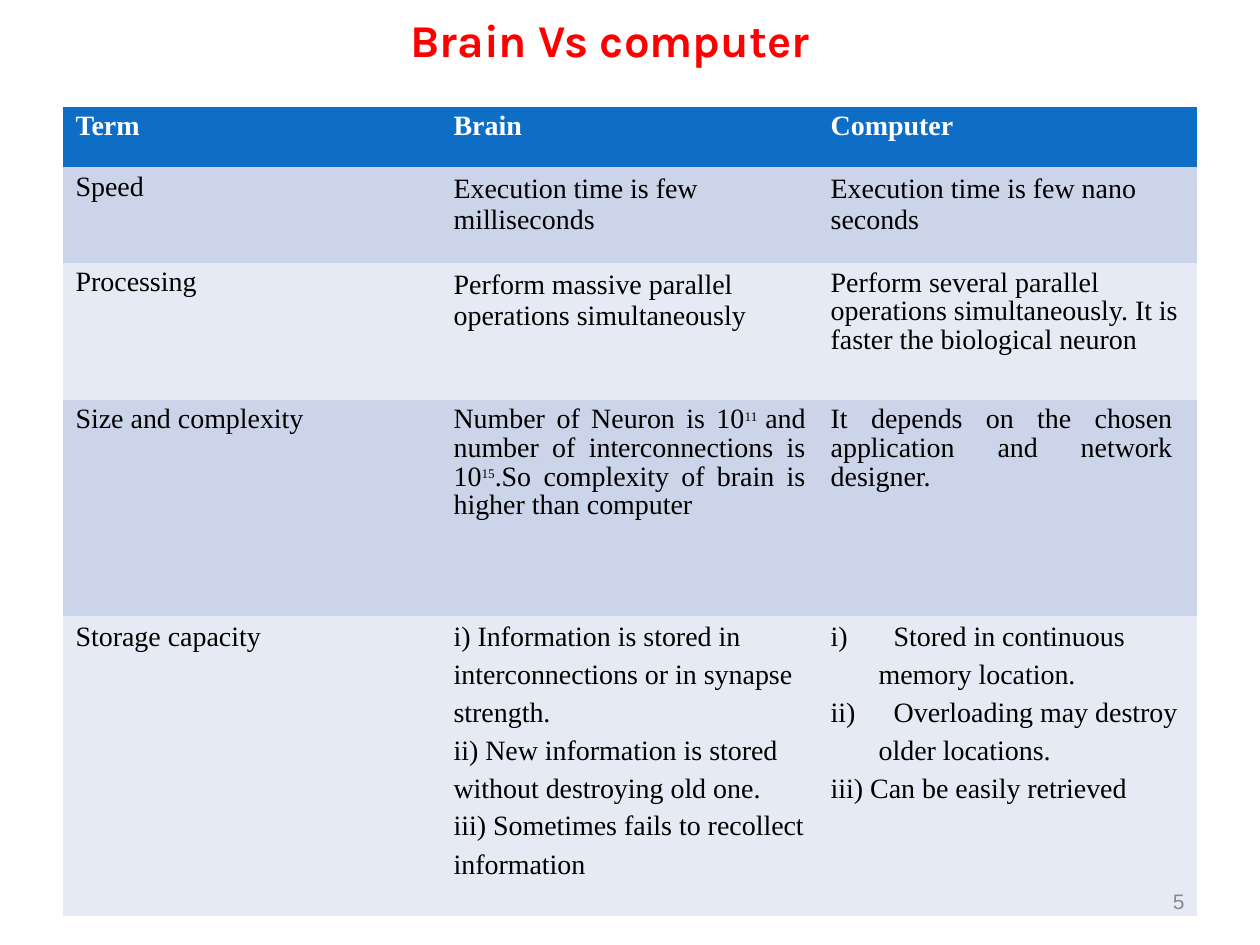
from lxml import etree
from pptx import Presentation
from pptx.dml.color import RGBColor
from pptx.enum.text import MSO_ANCHOR, PP_ALIGN
from pptx.oxml.ns import qn
from pptx.util import Pt

LEFT, CENTER = PP_ALIGN.LEFT, PP_ALIGN.CENTER
RIGHT, JUSTIFY = PP_ALIGN.RIGHT, PP_ALIGN.JUSTIFY
MIDDLE = MSO_ANCHOR.MIDDLE

COLORS = {
    "title": "FF0000",
    "header": "0E6EC5",
    "header_text": "FFFFFF",
    "body_text": "000000",
    "dark_band": "CCD4E9",
    "light_band": "E6EAF4",
    "page_number": "898989",
}
NO_GRID_STYLE = "{2D5ABB26-0587-4C30-8999-92F81FD0307C}"
COLUMN_WIDTHS = (180, 250.8, 217.2)
COLUMN_INDENTS = (7.2, 43.2, 7.9)
DEEP_INDENT = 35.3
EXACT, TIGHT = Pt(17.8), 0.92

HEADER = ("Term", "Brain", "Computer")
COMPARISONS = [
    (54.8, "Speed", "Execution time is few milliseconds",
     "Execution time is few nano seconds", (None, EXACT, EXACT), LEFT),
    (78, "Processing", "Perform massive parallel operations simultaneously",
     "Perform several parallel operations simultaneously. "
     "It is faster the biological neuron", (None, EXACT, TIGHT), LEFT),
    (123.6, "Size and complexity",
     "Number of Neuron is 10^11 ^and number of interconnections is 10^15^"
     ".So complexity of brain is higher than computer",
     "It depends on the chosen application and network designer.",
     (None, TIGHT, TIGHT), JUSTIFY),
]
JUSTIFIED_MARGINS = (0, 6.5, 14)
STORAGE = [
    (25.9, 18.5, "Storage capacity", "i) Information is stored in",
     "i)\tStored in continuous"),
    (21.6, 16.8, "", "interconnections or in synapse", "memory location."),
    (21.6, 16.8, "", "strength.", "ii)\tOverloading may destroy"),
    (21.6, 16.8, "", "ii) New information is stored", "older locations."),
    (21.6, 16.8, "", "without destroying old one.",
     "iii) Can be easily retrieved"),
    (21.6, 16.8, "", "iii) Sometimes fails to recollect", ""),
    (37.2, 17.5, "", "information", ""),
]
DEEP_LINES = ("memory location.", "older locations.")


def write_text(frame, text, *, size=16, font="Times New Roman",
               color="body_text", bold=False, align=LEFT, spacing=None,
               indent=0):
    para = frame.paragraphs[0]
    properties = para._p.get_or_add_pPr()
    properties.set("marL", str(Pt(indent)))
    properties.set("indent", "0")
    if "\t" in text:
        stops = etree.SubElement(properties, qn("a:tabLst"))
        etree.SubElement(stops, qn("a:tab"), pos=str(Pt(DEEP_INDENT)), algn="l")
    para.alignment = align
    para.line_spacing = spacing
    for index, part in enumerate(text.split("^")):
        if not part:
            continue
        raised = index % 2 == 1
        span = para.add_run()
        span.text = part
        span.font.name = font
        span.font.size = Pt(13 if raised else size)
        span.font.bold = bold
        span.font.color.rgb = RGBColor.from_string(COLORS[color])
        if raised:
            span._r.get_or_add_rPr().set("baseline", "31000")


def add_label(page, text, left, top, width, height, **text_format):
    box = page.shapes.add_textbox(Pt(left), Pt(top), Pt(width), Pt(height))
    frame = box.text_frame
    frame.word_wrap = True
    frame.vertical_anchor = MIDDLE
    write_text(frame, text, **text_format)
    return frame


def fill_cell(cell, text, fill, *, top=0, right=0, **text_format):
    cell.margin_left = cell.margin_bottom = 0
    cell.margin_top, cell.margin_right = Pt(top), Pt(right)
    cell.fill.solid()
    cell.fill.fore_color.rgb = RGBColor.from_string(COLORS[fill])
    write_text(cell.text_frame, text, **text_format)


def add_comparison_table(page):
    heights = [34.4] + [row[0] for row in COMPARISONS + STORAGE]
    table = page.shapes.add_table(
        len(heights), len(COLUMN_WIDTHS), Pt(36), Pt(61.2),
        Pt(sum(COLUMN_WIDTHS)), Pt(sum(heights))).table
    table.horz_banding = False
    table._tbl.tblPr.find(qn("a:tableStyleId")).text = NO_GRID_STYLE
    for column, width in zip(table.columns, COLUMN_WIDTHS):
        column.width = Pt(width)
    for row, height in zip(table.rows, heights):
        row.height = Pt(height)

    for column, text in enumerate(HEADER):
        fill_cell(table.cell(0, column), text, "header", top=2.2,
                  color="header_text", bold=True,
                  indent=COLUMN_INDENTS[column])

    for number, (_, *texts, spacings, align) in enumerate(COMPARISONS, 1):
        band = "dark_band" if number % 2 else "light_band"
        for column, text in enumerate(texts):
            justified = align == JUSTIFY and column > 0
            fill_cell(table.cell(number, column), text, band,
                      top=3.6 if column else 2.2,
                      right=JUSTIFIED_MARGINS[column] if justified else 0,
                      align=align if column else LEFT,
                      spacing=spacings[column],
                      indent=COLUMN_INDENTS[column])

    first = len(COMPARISONS) + 1
    for number, (_, spacing, *texts) in enumerate(STORAGE, first):
        for column, text in enumerate(texts):
            deep = text in DEEP_LINES
            fill_cell(table.cell(number, column), text, "light_band",
                      top=2.2 if number == first else 0,
                      spacing=Pt(spacing),
                      indent=DEEP_INDENT if deep else COLUMN_INDENTS[column])


def main():
    deck = Presentation()
    deck.slide_width, deck.slide_height = Pt(720), Pt(540)
    page = deck.slides.add_slide(deck.slide_layouts[6])
    title = add_label(page, "Brain Vs computer", 108, 5.8, 481, 32.4, size=26,
                      font="Karla", color="title", bold=True, align=CENTER)
    title.margin_left = title.margin_right = title.margin_bottom = 0
    title.margin_top = Pt(0.7)
    add_comparison_table(page)
    add_label(page, "5", 516, 500.5, 168, 28.8, size=12, font="Arial",
              color="page_number", align=RIGHT)
    deck.save("out.pptx")


if __name__ == "__main__":
    main()
